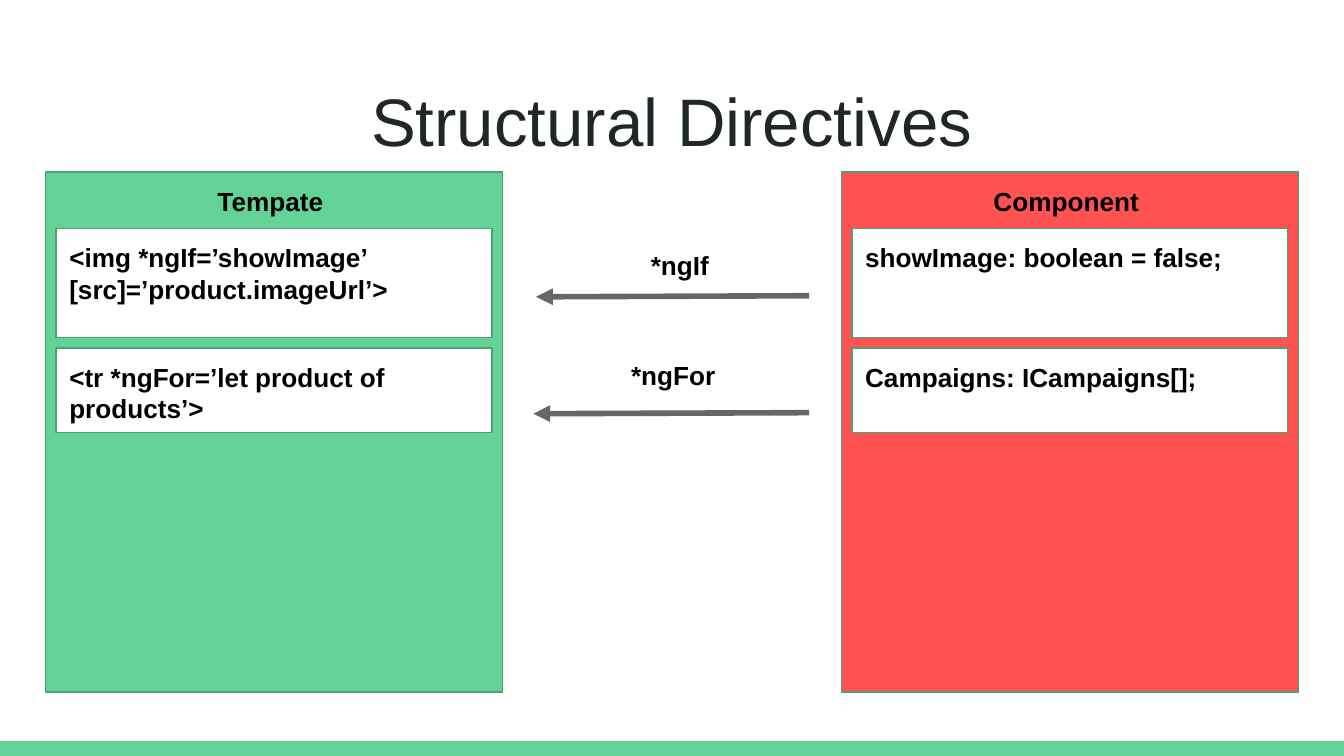
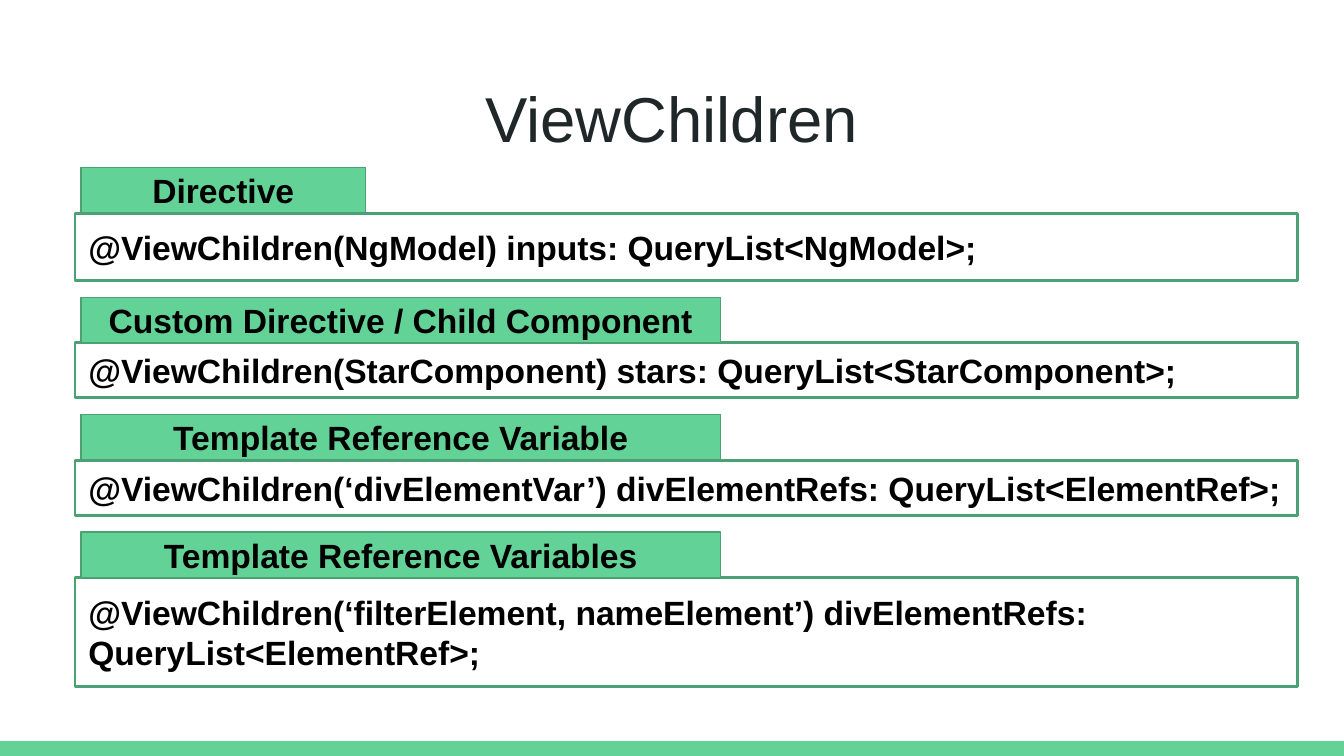
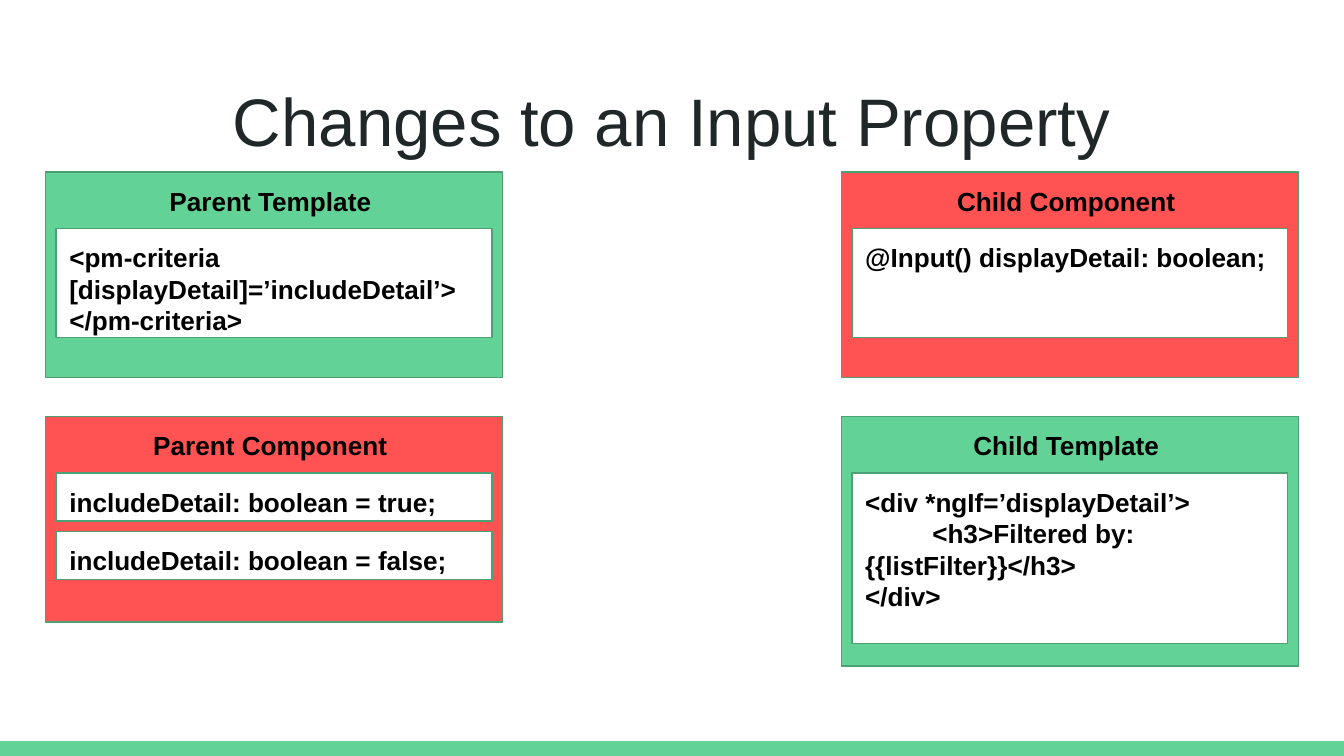
from lxml import etree
from pptx import Presentation
from pptx.dml.color import RGBColor
from pptx.enum.shapes import MSO_CONNECTOR, MSO_SHAPE
from pptx.enum.text import MSO_ANCHOR, MSO_AUTO_SIZE, PP_ALIGN
from pptx.oxml.ns import qn
from pptx.util import Cm, Pt

LEFT, CENTER = PP_ALIGN.LEFT, PP_ALIGN.CENTER
TOP, MIDDLE = MSO_ANCHOR.TOP, MSO_ANCHOR.MIDDLE
RECT, STRAIGHT = MSO_SHAPE.RECTANGLE, MSO_CONNECTOR.STRAIGHT
NO_AUTOFIT = MSO_AUTO_SIZE.NONE

# Shared look
FONT = "Arial"
GREEN, RED, WHITE, BLACK = "63D297", "FF5252", "FFFFFF", "000000"
BORDER, ARROW, TITLE = "4BA173", "666666", "202729"
SLIDE_W, SLIDE_H, BAND_H = 25.4, 14.29, 0.28
INSET = 0.25

# Panels and the fields stacked inside them
LEFT_X, RIGHT_X = 0.86, 15.9
UPPER_Y, LOWER_Y = 3.25, 7.87
PANEL_W, HEADING_H, FIELD_GAP = 8.64, 1.07, 0.2


def color(value):
    return RGBColor.from_string(value)


def box(x, y, w, h):
    return Cm(x), Cm(y), Cm(w), Cm(h)


def set_text(sp, text, size=14, bold=True, fill=BLACK, align=LEFT, anchor=TOP):
    """Fill a shape with one paragraph per line of text."""
    tf = sp.text_frame
    tf.auto_size = NO_AUTOFIT
    tf.word_wrap = True
    tf.vertical_anchor = anchor
    tf.margin_left = tf.margin_right = Cm(INSET)
    tf.margin_top = tf.margin_bottom = Cm(INSET)
    for i, line in enumerate(text.split("\n")):
        p = tf.paragraphs[0] if i == 0 else tf.add_paragraph()
        p.alignment = align
        r = p.add_run()
        r.text = line
        r.font.name = FONT
        r.font.size = Pt(size)
        r.font.bold = bold
        r.font.color.rgb = color(fill)


def add_rect(s, x, y, w, h, fill, line=0.75):
    sp = s.shapes.add_shape(RECT, *box(x, y, w, h))
    sp.shadow.inherit = False
    sp.fill.solid()
    sp.fill.fore_color.rgb = color(fill)
    if line:
        sp.line.color.rgb = color(BORDER)
        sp.line.width = Pt(line)
    else:
        sp.line.fill.background()
    return sp


def add_slide(prs, title, size=36):
    """Title-only slide with the green band along the bottom."""
    s = prs.slides.add_slide(prs.slide_layouts[5])
    add_rect(s, 0, SLIDE_H - BAND_H, SLIDE_W, BAND_H, GREEN, line=0)
    sp = s.shapes.title
    sp.left, sp.top, sp.width, sp.height = box(0.86, 1.24, 23.67, 1.6)
    set_text(sp, title, size=size, bold=False, fill=TITLE, align=CENTER)
    return s


def add_panel(s, x, y, h, fill, heading, fields):
    """Coloured panel with a heading and white fields as (height, code)."""
    set_text(add_rect(s, x, y, PANEL_W, h, fill), heading, align=CENTER)
    top = y + HEADING_H
    for field_h, code in fields:
        field = add_rect(s, x + FIELD_GAP, top, PANEL_W - 2 * FIELD_GAP, field_h, WHITE)
        set_text(field, code)
        top += field_h + FIELD_GAP


def add_label(s, x, y, w, text):
    set_text(s.shapes.add_textbox(*box(x, y, w, 0.91)), text, align=CENTER)


def add_arrow(s, x1, y1, x2, y2):
    cx = s.shapes.add_connector(STRAIGHT, Cm(x1), Cm(y1), Cm(x2), Cm(y2))
    cx.line.color.rgb = color(ARROW)
    cx.line.width = Pt(3)
    etree.SubElement(cx.line._get_or_add_ln(), qn("a:tailEnd"), type="triangle")
    etree.SubElement(cx._element.spPr, qn("a:effectLst"))


def add_example(s, y, tab_w, heading, code_h, code):
    """Green tab standing on a framed line of code; returns the bottom edge."""
    tab_h = 0.86
    frame = add_rect(s, 1.42, y + tab_h, 23.11, code_h, WHITE, line=1.5)
    set_text(frame, code, size=18, anchor=MIDDLE)
    tab = add_rect(s, 1.53, y, tab_w, tab_h, GREEN)
    set_text(tab, heading, size=18, align=CENTER, anchor=MIDDLE)
    return y + tab_h + code_h


def structural_directives(prs):
    s = add_slide(prs, "Structural Directives")
    add_panel(s, LEFT_X, UPPER_Y, 9.83, GREEN, "Tempate ", [
        (2.06, "<img *ngIf=’showImage’ [src]=’product.imageUrl’>"),
        (1.6, "<tr *ngFor=’let product of products’>"),
    ])
    add_panel(s, RIGHT_X, UPPER_Y, 9.83, RED, "Component ", [
        (2.06, "showImage: boolean = false;"),
        (1.6, "Campaigns: ICampaigns[];"),
    ])
    add_arrow(s, 15.29, 5.59, 10.13, 5.61)
    add_arrow(s, 15.29, 7.8, 10.08, 7.82)
    add_label(s, 11.1, 4.47, 3.5, "*ngIf")
    add_label(s, 10.16, 6.55, 5.13, "*ngFor")


def view_children(prs):
    s = add_slide(prs, "ViewChildren", size=34)
    examples = [
        (5.38, "Directive", 1.27,
         "@ViewChildren(NgModel) inputs: QueryList<NgModel>;"),
        (12.09, "Custom Directive / Child Component", 1.04,
         "@ViewChildren(StarComponent) stars: QueryList<StarComponent>;"),
        (12.09, "Template Reference Variable", 1.04,
         "@ViewChildren(‘divElementVar’) divElementRefs: QueryList<ElementRef>;"),
        (12.09, "Template Reference Variables", 2.06,
         "@ViewChildren(‘filterElement, nameElement’) divElementRefs: "
         "QueryList<ElementRef>;"),
    ]
    y = 3.17
    for example in examples:
        y = add_example(s, y, *example) + 0.32


def input_property(prs):
    s = add_slide(prs, "Changes to an Input Property")
    add_panel(s, LEFT_X, UPPER_Y, 3.89, GREEN, "Parent Template ", [
        (2.06, "<pm-criteria [displayDetail]=’includeDetail’>\n</pm-criteria>"),
    ])
    add_panel(s, RIGHT_X, UPPER_Y, 3.89, RED, "Child Component ", [
        (2.06, "@Input() displayDetail: boolean;"),
    ])
    add_panel(s, LEFT_X, LOWER_Y, 3.89, RED, "Parent Component ", [
        (0.91, "includeDetail: boolean = true;"),
        (0.91, "includeDetail: boolean = false;"),
    ])
    add_panel(s, RIGHT_X, LOWER_Y, 4.72, GREEN, "Child Template ", [
        (3.23, "<div *ngIf=’displayDetail’>\n"
               "\t<h3>Filtered by: {{listFilter}}</h3>\n"
               "</div>"),
    ])


def main():
    prs = Presentation()
    prs.slide_width, prs.slide_height = Cm(SLIDE_W), Cm(SLIDE_H)
    structural_directives(prs)
    view_children(prs)
    input_property(prs)
    prs.save("out.pptx")


if __name__ == "__main__":
    main()
